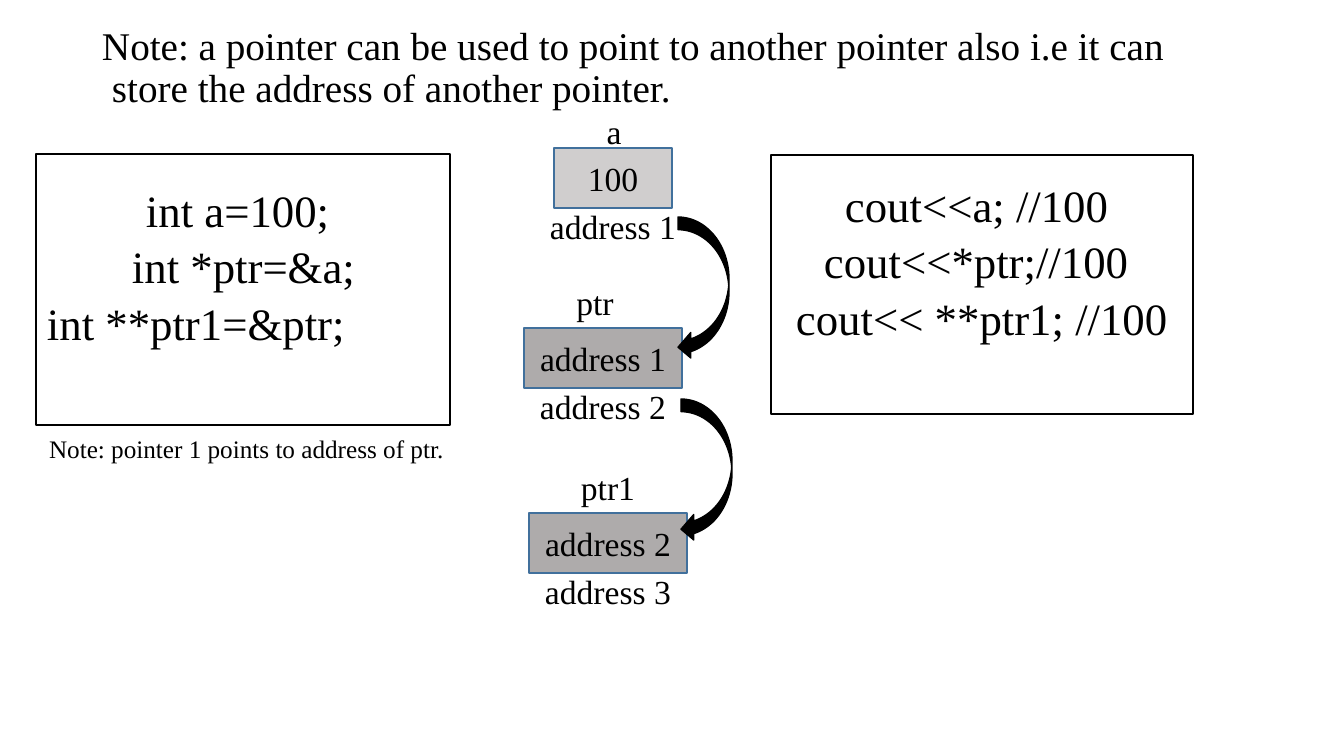
from dataclasses import dataclass

from pptx import Presentation
from pptx.dml.color import RGBColor
from pptx.enum.shapes import MSO_SHAPE
from pptx.enum.text import MSO_ANCHOR, MSO_AUTO_SIZE, PP_ALIGN
from pptx.util import Emu, Pt

SCALE = 914400 / 100.8


def px(length):
    return Emu(round(length * SCALE))


@dataclass(frozen=True)
class Theme:
    font: str = "Times New Roman"
    ink: str = "000000"
    outline: str = "41709C"
    variable: str = "D0CECE"
    pointer: str = "AEABAB"
    title_size: int = 28
    code_size: int = 32
    label_size: int = 24
    note_size: int = 18
    line_width: float = 0.96


class PointerSlide:
    """Draws the elements of one slide in a shared style."""

    def __init__(self, slide, theme):
        self.slide = slide
        self.theme = theme

    def set_text(self, shape, lines, size, top=0, align=PP_ALIGN.LEFT,
                 anchor=MSO_ANCHOR.TOP, spacing=None):
        frame = shape.text_frame
        frame_format = {
            "margin_left": 0, "margin_right": 0, "margin_bottom": 0,
            "margin_top": px(top), "word_wrap": True,
            "auto_size": MSO_AUTO_SIZE.NONE, "vertical_anchor": anchor,
        }
        for name, value in frame_format.items():
            setattr(frame, name, value)
        for number, (text, margin, indent) in enumerate(lines):
            paragraph = frame.paragraphs[0] if number == 0 else frame.add_paragraph()
            paragraph.text = text
            paragraph.alignment = align
            paragraph.line_spacing = spacing
            properties = paragraph._p.get_or_add_pPr()
            properties.set("marL", str(px(margin)))
            properties.set("indent", str(px(indent)))
            font = paragraph.runs[0].font
            for name, value in {"name": self.theme.font, "size": Pt(size)}.items():
                setattr(font, name, value)
            font.color.rgb = RGBColor.from_string(self.theme.ink)

    def title(self, text, left, top, width, height):
        shape = self.slide.shapes.title
        bounds = {"left": left, "top": top, "width": width, "height": height}
        for name, value in bounds.items():
            setattr(shape, name, px(value))
        self.set_text(shape, [(text, 11, -10)], self.theme.title_size, top=7,
                      spacing=Pt(30.2))

    def label(self, text, left, top, width, size, align=PP_ALIGN.CENTER):
        shape = self.slide.shapes.add_textbox(px(left), px(top), px(width), px(40))
        self.set_text(shape, [(text, 0, 0)], size, align=align)

    def shape(self, kind, left, top, width, height, fill=None, line=None):
        shape = self.slide.shapes.add_shape(
            kind, px(left), px(top), px(width), px(height))
        shape.shadow.inherit = False
        if fill:
            shape.fill.solid()
            shape.fill.fore_color.rgb = RGBColor.from_string(fill)
        else:
            shape.fill.background()
        shape.line.color.rgb = RGBColor.from_string(line or self.theme.ink)
        shape.line.width = Pt(self.theme.line_width)
        return shape

    def code(self, lines, left, top, width, height, inset):
        shape = self.shape(MSO_SHAPE.RECTANGLE, left, top, width, height)
        self.set_text(shape, [(text, margin, 0) for text, margin in lines],
                      self.theme.code_size, top=inset, spacing=1.05)

    def cell(self, name, value, address, left, top, width, fill, name_center, name_top):
        height, label_width = 60, 160
        box = self.shape(MSO_SHAPE.RECTANGLE, left, top, width, height,
                         fill, self.theme.outline)
        size = self.theme.label_size
        self.set_text(box, [(value, 0, 0)], size, align=PP_ALIGN.CENTER,
                      anchor=MSO_ANCHOR.MIDDLE)
        self.label(name, name_center - label_width // 2, name_top, label_width, size)
        self.label(address, left + (width - label_width) // 2, top + height - 2,
                   label_width, size)

    def arrow(self, left, top):
        self.shape(MSO_SHAPE.CURVED_LEFT_ARROW, left, top, 51, 143, self.theme.ink)


def main():
    presentation = Presentation()
    presentation.slide_width = px(1344)
    presentation.slide_height = px(756)
    theme = Theme()
    page = PointerSlide(
        presentation.slides.add_slide(presentation.slide_layouts[5]), theme)

    page.title("Note: a pointer can be used to point to another pointer also i.e "
               "it can store the address of another pointer.", 101, 19, 1075, 92)
    page.code([("int a=100;", 110), ("int *ptr=&a;", 96), ("int **ptr1=&ptr;", 11)],
              36, 154, 414, 271, inset=26)
    page.code([("cout<<a; //100", 74), ("cout<<*ptr;//100", 53),
               ("cout<< **ptr1; //100", 25)], 771, 155, 422, 259, inset=20)
    page.label("Note: pointer 1 points to address of ptr.", 49, 433, 420,
               theme.note_size, PP_ALIGN.LEFT)

    cells = [
        ("a", "100", "address 1", 554, 148, 118, theme.variable, 614, 111),
        ("ptr", "address 1", "address 2", 524, 328, 158, theme.pointer, 595, 282),
        ("ptr1", "address 2", "address 3", 529, 513, 158, theme.pointer, 608, 467),
    ]
    for cell in cells:
        page.cell(*cell)
    for left, top in [(678, 217), (681, 399)]:
        page.arrow(left, top)

    presentation.save("out.pptx")


if __name__ == "__main__":
    main()
